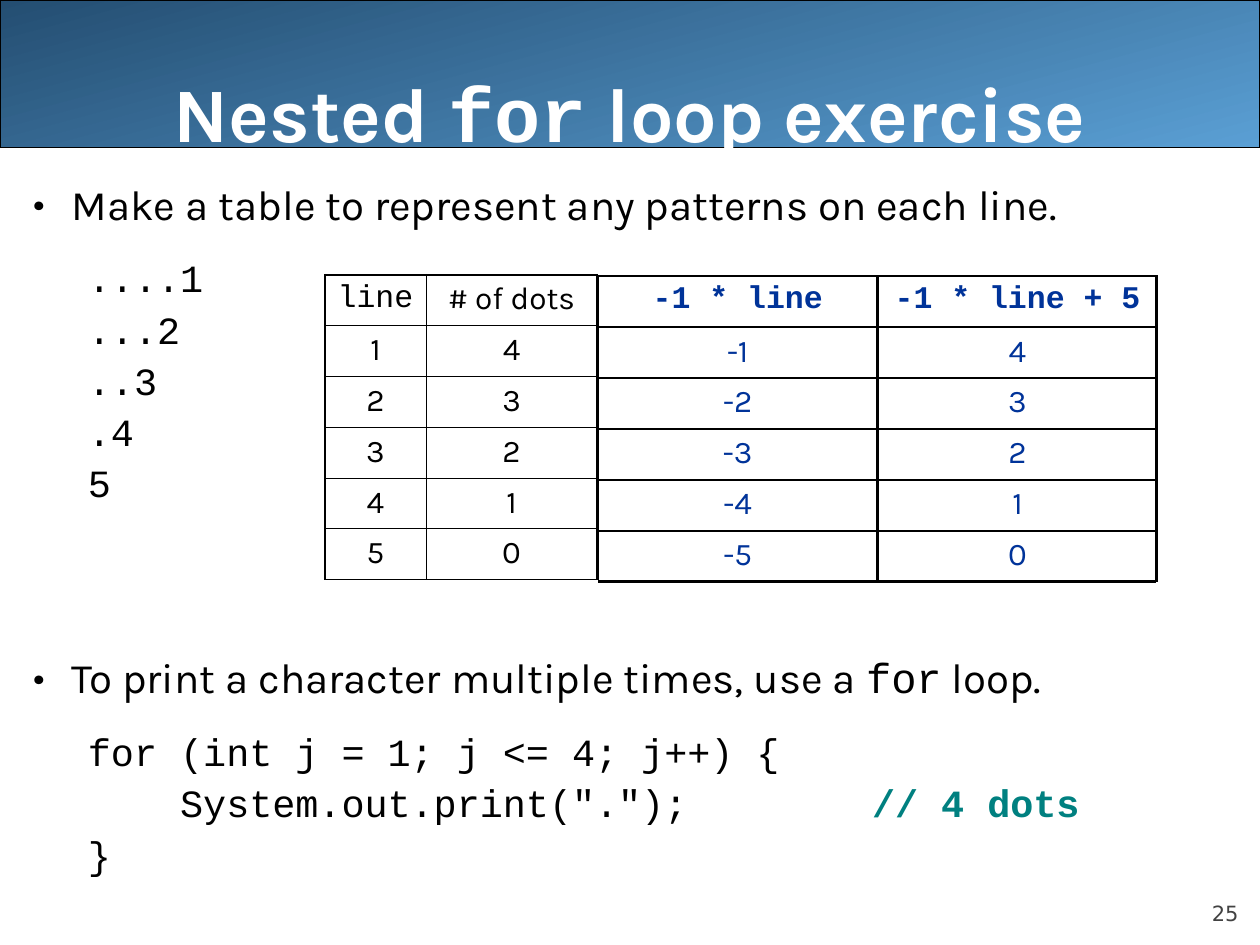
from lxml import etree
from pptx import Presentation
from pptx import util as u
from pptx.dml.color import RGBColor
from pptx.enum import shapes, text
from pptx.oxml.ns import qn

SANS, MONO = "Karla", "Courier New"
BLACK, WHITE, BLUE, TEAL = "000000", "FFFFFF", "003399", "008080"
THIN, THICK = 0.45, 1.08
TALL = 2.42


def paint(code):
    return RGBColor.from_string(code)


def write(para, words, font=SANS, size=24, color=BLACK, bold=False):
    run = para.add_run()
    run.text = words
    run.font.name = font
    run.font.size = u.Pt(size)
    run.font.color.rgb = paint(color)
    run.font.bold = bold


def setup(frame, anchor, left=0, top=0, right=0, bottom=0):
    frame.word_wrap = True
    frame.auto_size = text.MSO_AUTO_SIZE.NONE
    frame.vertical_anchor = anchor
    frame.margin_left, frame.margin_right = u.Inches(left), u.Inches(right)
    frame.margin_top, frame.margin_bottom = u.Inches(top), u.Inches(bottom)


def place(shape, left, top, width, height):
    shape.left, shape.top = u.Inches(left), u.Inches(top)
    shape.width, shape.height = u.Inches(width), u.Inches(height)


def add_box(slide, left, top, width, height):
    return slide.shapes.add_textbox(*map(u.Inches, (left, top, width, height)))


def add_band(slide):
    band = slide.shapes.add_shape(
        shapes.MSO_SHAPE.ROUNDED_RECTANGLE, 0, 0, u.Inches(10), u.Inches(1.17))
    band.adjustments[0] = 0
    band.shadow.inherit = False
    band.fill.gradient()
    band.fill.gradient_angle = 105
    for stop, code in zip(band.fill.gradient_stops, ("5A9FD4", "244E72")):
        stop.color.rgb = paint(code)
    band.line.color.rgb = paint(BLACK)
    band.line.width = u.Pt(0.75)
    slide.shapes._spTree.insert(2, band._element)


def add_title(slide):
    title = slide.shapes.title
    place(title, 0.5, 0, 9, 1.25)
    setup(title.text_frame, text.MSO_ANCHOR.BOTTOM, top=0.05)
    para = title.text_frame.paragraphs[0]
    para.alignment = text.PP_ALIGN.CENTER
    for words, font in (("Nested ", SANS), ("for", MONO), (" loop exercise", SANS)):
        write(para, words, font, 44, WHITE, True)


def indent(para, left, hang, bullet=None):
    props = para._p.get_or_add_pPr()
    props.set("marL", str(u.Inches(left)))
    props.set("indent", str(-u.Inches(hang)))
    if bullet:
        tint = etree.SubElement(props, qn("a:buClr"))
        etree.SubElement(tint, qn("a:srgbClr"), val=BLACK)
        etree.SubElement(props, qn("a:buFont"), typeface=SANS)
        etree.SubElement(props, qn("a:buChar"), char=bullet)
    else:
        etree.SubElement(props, qn("a:buNone"))


def add_body(slide):
    frame = add_box(slide, 0.17, 1.41, 9.83, 5.67).text_frame
    setup(frame, text.MSO_ANCHOR.TOP, 0.1, 0.05, 0.1, 0.05)
    parts = [
        ([("Make a table to represent any patterns on each line.", SANS)],
         ["....1", "...2", "..3", ".4", "5"]),
        ([("To print a character multiple times, use a ", SANS),
          ("for", MONO), (" loop.", SANS)],
         ["for (int j = 1; j <= 4; j++) {",
          '    System.out.print(".");        ', "}"]),
    ]
    for part, (point, code) in enumerate(parts):
        para = frame.add_paragraph() if part else frame.paragraphs[0]
        indent(para, 0.3, 0.3, "•")
        para.line_spacing = 0.9
        if part:
            para.space_before = u.Pt(86.5)
        for words, font in point:
            write(para, words, font)
        for row, line in enumerate(code):
            para = frame.add_paragraph()
            indent(para, 0.7, 0.27)
            para.line_spacing = 0.9
            para.space_before = u.Pt(5.5 if row else 17.5)
            write(para, line, MONO, 22)
            if "print" in line:
                write(para, "// 4 dots", MONO, 22, TEAL, True)


def edge(cell, **sides):
    props = cell._tc.get_or_add_tcPr()
    for spot, side in enumerate("LRTB"):
        line = etree.Element(qn("a:ln" + side), w=str(u.Pt(sides[side])))
        fill = etree.SubElement(line, qn("a:solidFill"))
        etree.SubElement(fill, qn("a:srgbClr"), val=BLACK)
        props.insert(spot, line)


def add_grid(slide, left, top, widths, rows, color=BLUE, fonts=(MONO,),
             bold=True, start=THIN):
    count, last = len(rows), len(widths) - 1
    grid = slide.shapes.add_table(
        count, len(widths), u.Inches(left), u.Inches(top),
        u.Inches(sum(widths)), u.Inches(TALL)).table
    grid.first_row = grid.horz_banding = False
    for col, width in zip(grid.columns, widths):
        col.width = u.Inches(width)
    for r, row in enumerate(rows):
        grid.rows[r].height = u.Inches(TALL / count)
        for c, words in enumerate(row):
            cell = grid.cell(r, c)
            cell.fill.background()
            edge(cell, L=THIN if c else start, R=THICK if c == last else THIN,
                 T=THIN if r else THICK, B=THICK if r == count - 1 else THIN)
            para = cell.text_frame.paragraphs[0]
            para.alignment = text.PP_ALIGN.CENTER
            if words:
                write(para, words, SANS if r else fonts[c], 18, color,
                      bold and r == 0)


def add_page(slide):
    frame = add_box(slide, 9, 6.95, 0.83, 0.4).text_frame
    setup(frame, text.MSO_ANCHOR.BOTTOM)
    para = frame.paragraphs[0]
    para.alignment = text.PP_ALIGN.RIGHT
    write(para, "25", "DejaVu Sans", 12, "424242")


def main():
    deck = Presentation()
    deck.slide_width, deck.slide_height = u.Inches(10), u.Inches(7.5)
    slide = deck.slides.add_slide(deck.slide_layouts[5])
    add_band(slide)
    add_page(slide)
    add_title(slide)
    add_body(slide)
    lines = range(1, 6)
    dots = [("line", "# of dots")] + [(str(n), str(5 - n)) for n in lines]
    add_grid(slide, 2.58, 2.18, [0.8, 1.36], dots, BLACK, (MONO, SANS), False, THICK)
    for left, head, base in ((4.75, "-1 * line", 0), (6.97, "-1 * line + 5", 5)):
        rows = [(head,)] + [(str(base - n),) for n in lines]
        add_grid(slide, left, 2.19, [2.21], rows)
    for left in (4.75, 6.96):
        add_grid(slide, left, 2.19, [2.21], [("",)] * 6)
    deck.save("out.pptx")


if __name__ == "__main__":
    main()
